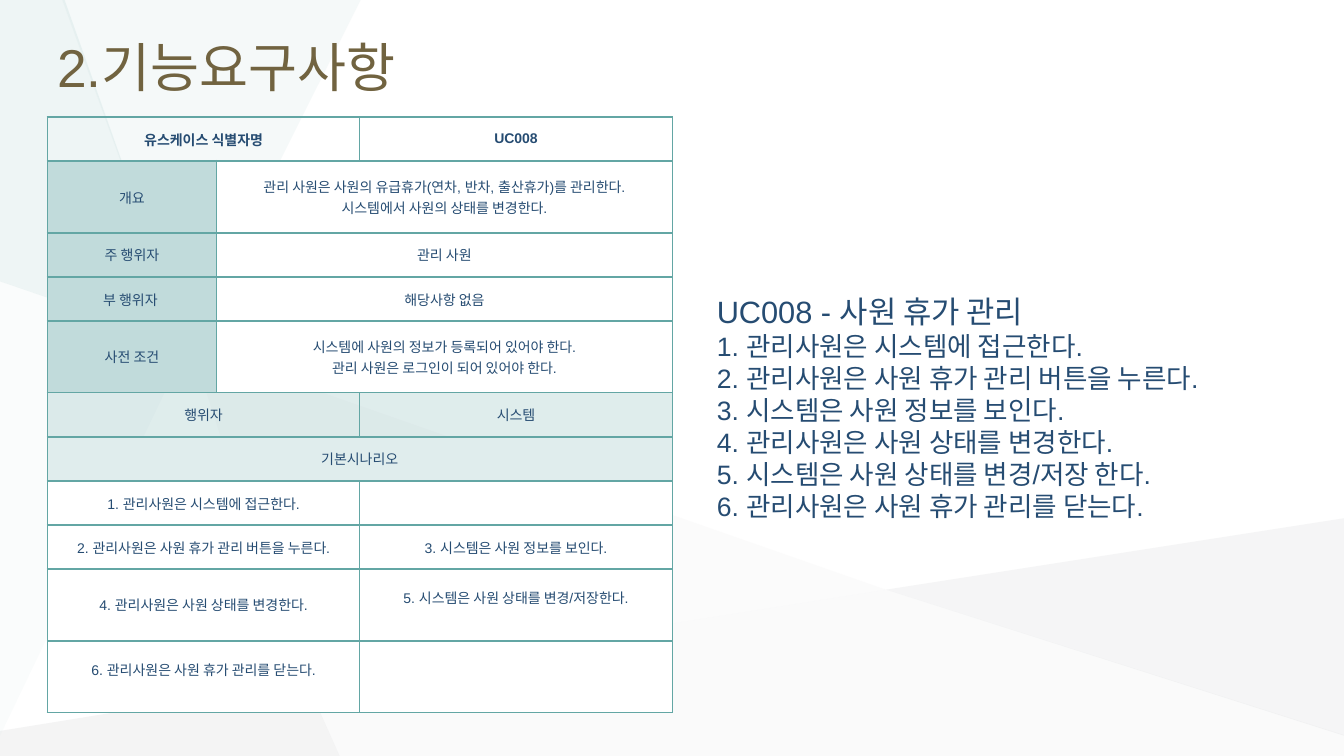
from dataclasses import dataclass
from typing import Optional

import pptx
import pptx.dml.color
import pptx.dml.fill
import pptx.enum.text
import pptx.oxml
import pptx.oxml.ns
import pptx.oxml.xmlchemy
import pptx.slide
import pptx.table
import pptx.text.text
import pptx.util

Cm = pptx.util.Cm
Pt = pptx.util.Pt
qn = pptx.oxml.ns.qn
Align = pptx.enum.text.PP_ALIGN
Anchor = pptx.enum.text.MSO_ANCHOR


@dataclass(frozen=True)
class Theme:
    font: str = "Arial"
    title: str = "716340"
    ink: str = "264C72"
    border: str = "63A6A4"
    label: str = "C1DBDB"
    pale: str = "E0EDED"
    white: str = "FFFFFF"
    title_size: float = 38
    heading_size: float = 22
    list_size: float = 19
    table_size: float = 10


@dataclass(frozen=True)
class Facet:
    color: str
    opacity: int
    points: tuple[tuple[float, float], ...]


@dataclass(frozen=True)
class Entry:
    lines: tuple[str, ...] = ()
    span: int = 1
    fill: Optional[str] = None
    opacity: int = 100
    bold: bool = False
    lift: float = 0


THEME = Theme()
WIDTH, HEIGHT = 33.87, 19.05
HUB_LEFT, HUB_LOW, HUB_RIGHT = (4.72, 8.71), (7.72, 17.17), (22.33, 14.86)

FACETS = (
    Facet("F3F2F2", 26, ((4.83, 8.74), (6.12, 12.75), HUB_LOW, HUB_RIGHT)),
    Facet("B6B8BA", 15, (HUB_LOW, (0, 18.42), (0, HEIGHT), (8.56, HEIGHT))),
    Facet("E0EDED", 31, ((9.09, 0), (1.57, 0), HUB_LEFT)),
    Facet("C6C8CA", 17, ((WIDTH, 13.06), HUB_RIGHT, (WIDTH, 18.54))),
    Facet("B6B8BA", 6, (HUB_RIGHT, HUB_LOW, (8.56, HEIGHT), (WIDTH, HEIGHT), (WIDTH, 18.52))),
    Facet("C1DBDB", 27, ((1.63, 0), (0, 0), (0, 7.09), HUB_LEFT)),
    Facet("C1DBDB", 8, ((0, 7.09), (0, 18.54), HUB_LEFT)),
)


def described(label: str, *lines: str) -> tuple[Entry, Entry]:
    return Entry((label,), fill=THEME.label), Entry(lines, span=2, fill=THEME.white)


def step(text: str = "", span: int = 1, lift: float = 0) -> Entry:
    return Entry((text,) if text else (), span, THEME.white, lift=lift)


COLUMNS = (4.27, 3.61, 7.87)
SHORT, TALL = 1.11, 1.81
ROWS = (
    (SHORT, (Entry(("유스케이스 식별자명",), 2, bold=True), Entry(("UC008",), bold=True))),
    (TALL, described("개요", "관리 사원은 사원의 유급휴가(연차, 반차, 출산휴가)를 관리한다.",
                     "시스템에서 사원의 상태를 변경한다.")),
    (SHORT, described("주 행위자", "관리 사원")),
    (SHORT, described("부 행위자 ", "해당사항 없음")),
    (TALL, described("사전 조건", "시스템에 사원의 정보가 등록되어 있어야 한다.",
                     "관리 사원은 로그인이 되어 있어야 한다.")),
    (SHORT, (Entry(("행위자",), 2, THEME.border, 20), Entry(("시스템",), 1, THEME.border, 20))),
    (SHORT, (Entry(("기본시나리오",), 3, THEME.pale),)),
    (SHORT, (step("1. 관리사원은 시스템에 접근한다.", 2), step())),
    (SHORT, (step("2. 관리사원은 사원 휴가 관리 버튼을 누른다.", 2), step("3. 시스템은 사원 정보를 보인다."))),
    (TALL, (step("4. 관리사원은 사원 상태를 변경한다.", 2),
            step("5. 시스템은 사원 상태를 변경/저장한다.", lift=0.36))),
    (TALL, (step("6. 관리사원은 사원 휴가 관리를 닫는다.", 2, lift=0.36), step())),
)

SCENARIO_TITLE = "UC008 - 사원 휴가 관리"
SCENARIO = (
    "1. 관리사원은 시스템에 접근한다.",
    "2. 관리사원은 사원 휴가 관리 버튼을 누른다.",
    "3. 시스템은 사원 정보를 보인다.",
    "4. 관리사원은 사원 상태를 변경한다.",
    "5. 시스템은 사원 상태를 변경/저장 한다.",
    "6. 관리사원은 사원 휴가 관리를 닫는다.",
)


def write(frame: pptx.text.text.TextFrame, lines: tuple[str, ...], *, size: float,
          color: str = THEME.ink, bold: bool = False, align: Align = Align.LEFT,
          first_size: Optional[float] = None) -> None:
    frame.word_wrap = True
    for index, line in enumerate(lines):
        para = frame.add_paragraph() if index else frame.paragraphs[0]
        para.alignment = align
        para.space_before = Pt(0)
        properties = para._p.get_or_add_pPr()
        properties.set("marL", "0")
        properties.set("indent", "0")
        pptx.oxml.ns
        properties.append(properties.makeelement(qn("a:buNone"), {}))
        span = para.add_run()
        span.text = line
        span.font.name = THEME.font
        span.font.size = Pt(first_size if first_size and index == 0 else size)
        span.font.bold = bold
        span.font.color.rgb = pptx.dml.color.RGBColor.from_string(color)


def paint(fill: pptx.dml.fill.FillFormat, owner: pptx.oxml.xmlchemy.BaseOxmlElement,
          color: str, opacity: int) -> None:
    fill.solid()
    fill.fore_color.rgb = pptx.dml.color.RGBColor.from_string(color)
    if opacity < 100:
        tint = owner.find(qn("a:solidFill"))[0]
        tint.append(tint.makeelement(qn("a:alpha"), {"val": str(opacity * 1000)}))


def draw_facet(page: pptx.slide.Slide, facet: Facet) -> None:
    corners = [(Cm(x), Cm(y)) for x, y in facet.points]
    builder = page.shapes.build_freeform(*corners[0])
    builder.add_line_segments(corners[1:], close=True)
    shape = builder.convert_to_shape()
    shape.shadow.inherit = False
    shape.line.fill.background()
    paint(shape.fill, shape._element.spPr, facet.color, facet.opacity)


def draw_borders(cell: pptx.table._Cell, row: int) -> None:
    properties = cell._tc.get_or_add_tcPr()
    for side in "LRTB":
        heavy = (row, side) in ((0, "B"), (1, "T"))
        edge = properties.makeelement(qn(f"a:ln{side}"), {"w": str(Pt(2 if heavy else 1))})
        solid = edge.makeelement(qn("a:solidFill"), {})
        solid.append(solid.makeelement(qn("a:srgbClr"), {"val": THEME.border}))
        edge.append(solid)
        properties.append(edge)


def draw_table(page: pptx.slide.Slide) -> None:
    heights = [height for height, _ in ROWS]
    table = page.shapes.add_table(len(ROWS), len(COLUMNS), Cm(1.19), Cm(2.95),
                                  Cm(sum(COLUMNS)), Cm(sum(heights))).table
    table.first_row = table.horz_banding = False
    for column, width in zip(table.columns, COLUMNS):
        column.width = Cm(width)
    for row, (height, entries) in enumerate(ROWS):
        table.rows[row].height = Cm(height)
        for column in range(len(COLUMNS)):
            draw_borders(table.cell(row, column), row)
        left = 0
        for entry in entries:
            cell = table.cell(row, left)
            if entry.span > 1:
                cell.merge(table.cell(row, left + entry.span - 1))
            left += entry.span
            cell.vertical_anchor = Anchor.MIDDLE
            cell.margin_bottom = Cm(0.13 + entry.lift)
            if entry.fill:
                paint(cell.fill, cell._tc.tcPr, entry.fill, entry.opacity)
            else:
                cell.fill.background()
            write(cell.text_frame, entry.lines, size=THEME.table_size,
                  bold=entry.bold, align=Align.CENTER)


def main() -> None:
    deck = pptx.Presentation()
    deck.slide_width, deck.slide_height = Cm(WIDTH), Cm(HEIGHT)
    page = deck.slides.add_slide(deck.slide_layouts[1])
    title, body = page.shapes.title, page.placeholders[1]
    for facet in FACETS:
        draw_facet(page, facet)
    draw_table(page)
    for box, area, anchor in ((title, (1.19, 0.36, 31.39, 2.62), Anchor.MIDDLE),
                              (body, (17.81, 7.26, 14.48, 6.07), Anchor.TOP)):
        box.left, box.top, box.width, box.height = map(Cm, area)
        box.text_frame.auto_size = pptx.enum.text.MSO_AUTO_SIZE.NONE
        box.text_frame.vertical_anchor = anchor
        page.shapes._spTree.append(box._element)
    write(title.text_frame, ("2.기능요구사항",), size=THEME.title_size, color=THEME.title)
    write(body.text_frame, (SCENARIO_TITLE, *SCENARIO), size=THEME.list_size,
          first_size=THEME.heading_size)
    deck.save("out.pptx")


if __name__ == "__main__":
    main()
